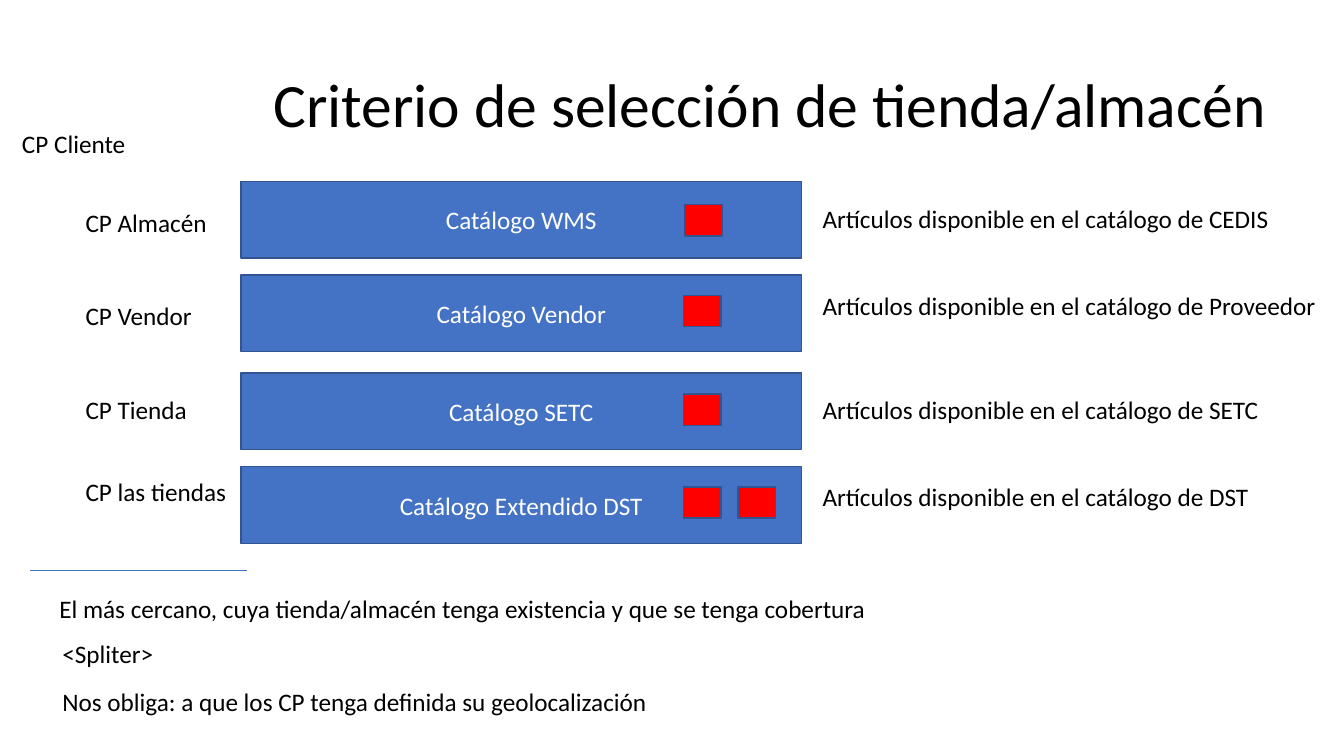
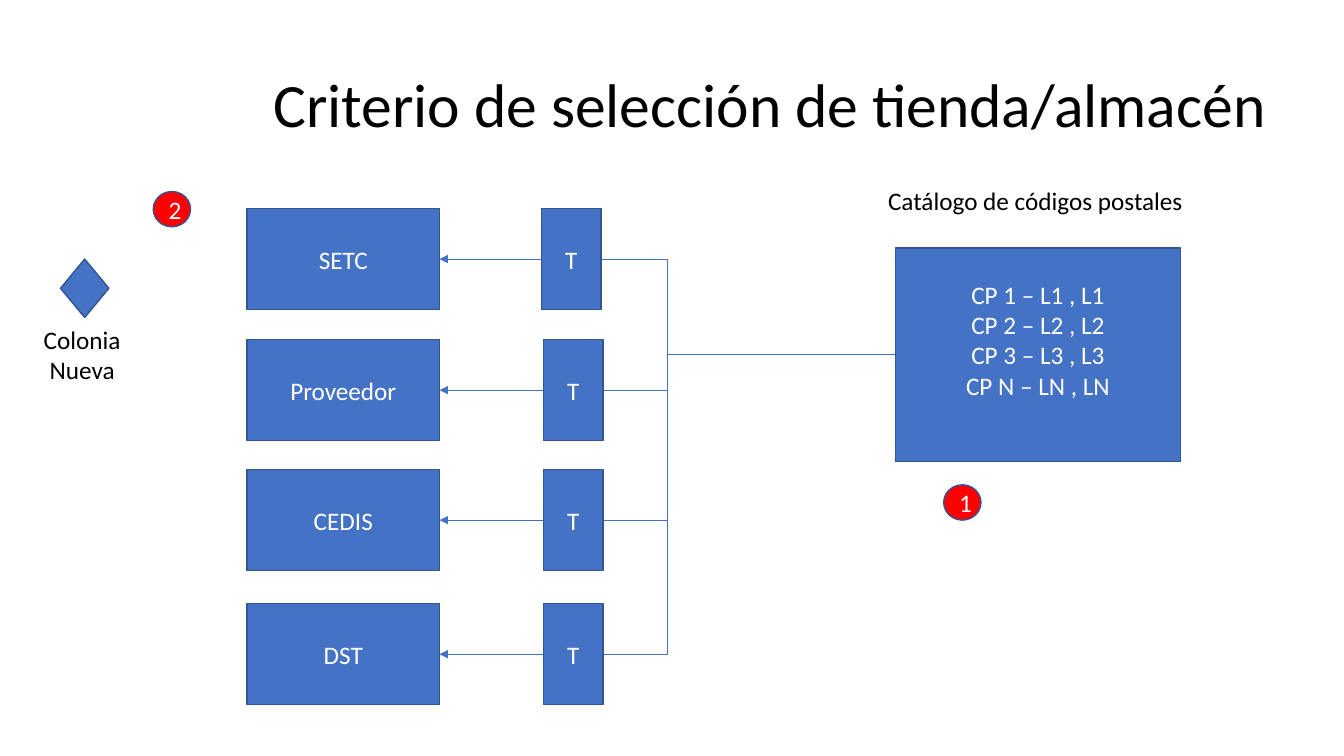
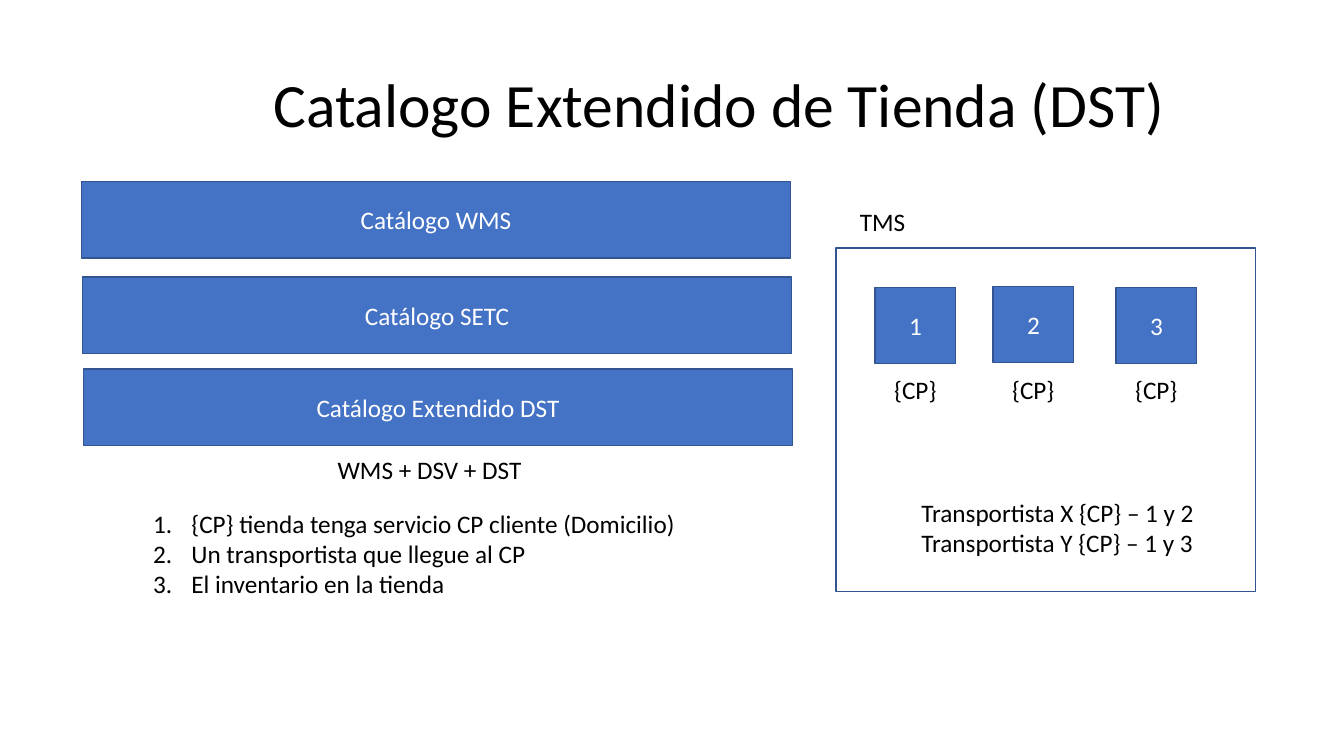
from dataclasses import dataclass

from lxml import etree
from pptx import Presentation
from pptx import util as u
from pptx.dml.color import RGBColor
from pptx.enum import shapes, text
from pptx.oxml import ns

PX = 9144  # EMU in one px, 100 px to the inch
RECTANGLE = shapes.MSO_SHAPE.RECTANGLE
LEFT, CENTER = text.PP_ALIGN.LEFT, text.PP_ALIGN.CENTER
LEFT_SITE, RIGHT_SITE = 1, 3  # connection sites of a rectangle


@dataclass(frozen=True)
class Theme:
    font: str = "Calibri"
    title_size: int = 44
    body_size: int = 18
    black: RGBColor = RGBColor(0, 0, 0)
    white: RGBColor = RGBColor(255, 255, 255)
    blue: RGBColor = RGBColor.from_string("4472C4")
    outline: RGBColor = RGBColor.from_string("325491")
    red: RGBColor = RGBColor.from_string("FF0000")


THEME = Theme()


def write_text(frame, content, color, align, size=THEME.body_size):
    """Fill a text frame, one paragraph for each line of content."""
    frame.text = content
    for paragraph in frame.paragraphs:
        paragraph.alignment = align
        for run in paragraph.runs:
            run.font.color.rgb = color
            for name, value in {"name": THEME.font, "size": u.Pt(size)}.items():
                setattr(run.font, name, value)


def add_box(slide, box, content="", kind=RECTANGLE, fill=THEME.blue, align=CENTER, wrap=True):
    """Add a preset shape, or a plain text label when kind is None."""
    place = [PX * length for length in box]
    if kind is None:
        shape = slide.shapes.add_textbox(*place)
    else:
        shape = slide.shapes.add_shape(kind, *place)
        shape.shadow.inherit = False
        shape.line.color.rgb = THEME.outline
        shape.line.width = u.Pt(1)
        if fill is None:
            shape.fill.background()
        else:
            shape.fill.solid()
            shape.fill.fore_color.rgb = fill
    if content:
        write_text(shape.text_frame, content, THEME.black if kind is None else THEME.white, align)
        shape.text_frame.word_wrap = wrap
    return shape


LABEL = {"kind": None, "align": LEFT, "wrap": False}

presentation = Presentation()
presentation.slide_width, presentation.slide_height = u.Inches(13.33), u.Inches(7.5)
title_only = presentation.slide_layouts[5]

# Slides and their titles
slides = []
for heading, width in [
    ("Criterio de selección de tienda/almacén", 1013),
    ("Criterio de selección de tienda/almacén", 1013),
    ("Catalogo Extendido de Tienda (DST)", 983),
]:
    slide = presentation.slides.add_slide(title_only)
    title = slide.shapes.title
    for name, length in {"left": 261, "top": 34, "width": width, "height": 145}.items():
        setattr(title, name, PX * length)
    write_text(title.text_frame, heading, THEME.black, LEFT, THEME.title_size)
    title.text_frame.paragraphs[0].line_spacing = 0.9
    for name, value in {
        "vertical_anchor": text.MSO_ANCHOR.MIDDLE,
        "auto_size": text.MSO_AUTO_SIZE.NONE,
        "word_wrap": True,
    }.items():
        setattr(title.text_frame, name, value)
    slides.append(slide)
criteria, postcodes, extended = slides

# Slide 1: catalogues with their postcodes and articles
for bar_top, catalogue, marker_top, marker_lefts, code, code_top, code_width, source, source_top, source_width in [
    (180, "WMS", 203, [679], "Almacén", 201, 142, "CEDIS", 197, 468),
    (273, "Vendor", 293, [678], "Vendor", 293, 127, "Proveedor", 283, 515),
    (370, "SETC", 391, [678], "Tienda", 386, 122, "SETC", 386, 458),
    (463, "Extendido DST", 483, [678, 732], "las tiendas", 468, 161, "DST", 473, 448),
]:
    add_box(criteria, (239, bar_top, 556, 76), f"Catálogo {catalogue}")
    for marker_left in marker_lefts:
        add_box(criteria, (marker_left, marker_top, 37, 31), fill=THEME.red)
    add_box(criteria, (75, code_top, code_width, 40), f"CP {code}", **LABEL)
    add_box(criteria, (806, source_top, source_width, 40),
            f"Artículos disponible en el catálogo de {source}", **LABEL)

for box, note in [
    ((12, 122, 124, 40), "CP Cliente"),
    ((49, 584, 830, 40), "El más cercano, cuya tienda/almacén tenga existencia y que se tenga cobertura"),
    ((52, 628, 111, 40), "<Spliter>"),
    ((52, 676, 607, 40), "Nos obliga: a que los CP tenga definida su geolocalización"),
]:
    add_box(criteria, box, note, **LABEL)
divider = criteria.shapes.add_connector(
    shapes.MSO_CONNECTOR.STRAIGHT, 30 * PX, 566 * PX, 245 * PX, 566 * PX)

# Slide 2: the postcode catalogue feeds every system through a T step
catalogue_box = add_box(
    postcodes, (888, 246, 283, 212),
    "CP 1 – L1 , L1\nCP 2 – L2 , L2\nCP 3 – L3 , L3\nCP N – LN , LN")
catalogue_box.text_frame.margin_bottom = 35 * PX
add_box(postcodes, (871, 179, 316, 40), "Catálogo de códigos postales", **LABEL)

systems = [("SETC", 207, 537), ("Proveedor", 337, 539), ("CEDIS", 466, 539), ("DST", 599, 539)]
arrows = []
for system, top, _ in systems:
    system_box = add_box(postcodes, (245, top, 191, 100), system)
    arrow = postcodes.shapes.add_connector(shapes.MSO_CONNECTOR.ELBOW, 0, 0, 0, 0)
    arrow.begin_connect(catalogue_box, LEFT_SITE)
    arrow.end_connect(system_box, RIGHT_SITE)
    arrows.append(arrow)
for _, top, step_left in systems:
    add_box(postcodes, (step_left, top, 59, 100), "T")

add_box(postcodes, (60, 257, 48, 58), kind=shapes.MSO_SHAPE.DIAMOND)
add_box(postcodes, (31, 317, 101, 71), "Colonia Nueva", kind=None)
for number, left, top in [("1", 936, 481), ("2", 152, 190)]:
    add_box(postcodes, (left, top, 37, 35), number, shapes.MSO_SHAPE.OVAL, THEME.red)

# Slide 3: extended catalogue beside the TMS panel
for left, top, catalogue in [(81, 180, "WMS"), (82, 275, "SETC"), (83, 366, "Extendido DST")]:
    add_box(extended, (left, top, 703, 76), f"Catálogo {catalogue}")
add_box(extended, (325, 446, 205, 40), "WMS + DSV + DST", **LABEL)

conditions = add_box(
    extended, (142, 499, 544, 101),
    "{CP} tienda tenga servicio CP cliente (Domicilio)\n"
    "Un transportista que llegue al CP\n"
    "El inventario en la tienda", **LABEL)
for paragraph in conditions.text_frame.paragraphs:
    properties = paragraph._p.get_or_add_pPr()
    for name, length in {"marL": 38, "indent": -38}.items():
        properties.set(name, str(PX * length))
    etree.SubElement(properties, ns.qn("a:buFont"), typeface="+mj-lt")
    etree.SubElement(properties, ns.qn("a:buAutoNum"), type="arabicPeriod")

add_box(extended, (829, 246, 416, 341), fill=None)
add_box(extended, (843, 200, 66, 40), "TMS", **LABEL)
for number, left, top in [("1", 868, 285), ("2", 985, 284), ("3", 1107, 285)]:
    add_box(extended, (left, top, 80, 76), number)
    add_box(extended, (left + 9, 366, 62, 40), "{CP}", **LABEL)
add_box(extended, (904, 488, 293, 71),
        "Transportista X {CP} – 1 y 2\nTransportista Y {CP} – 1 y 3", **LABEL)

# Line style of all connectors
for connector in [divider, *arrows]:
    connector.line.color.rgb = THEME.blue
    connector.line.width = u.Pt(0.5)
    if connector is not divider:
        etree.SubElement(connector.line._get_or_add_ln(), ns.qn("a:tailEnd"), type="triangle")
    etree.SubElement(connector._element.spPr, ns.qn("a:effectLst"))

presentation.save("out.pptx")
